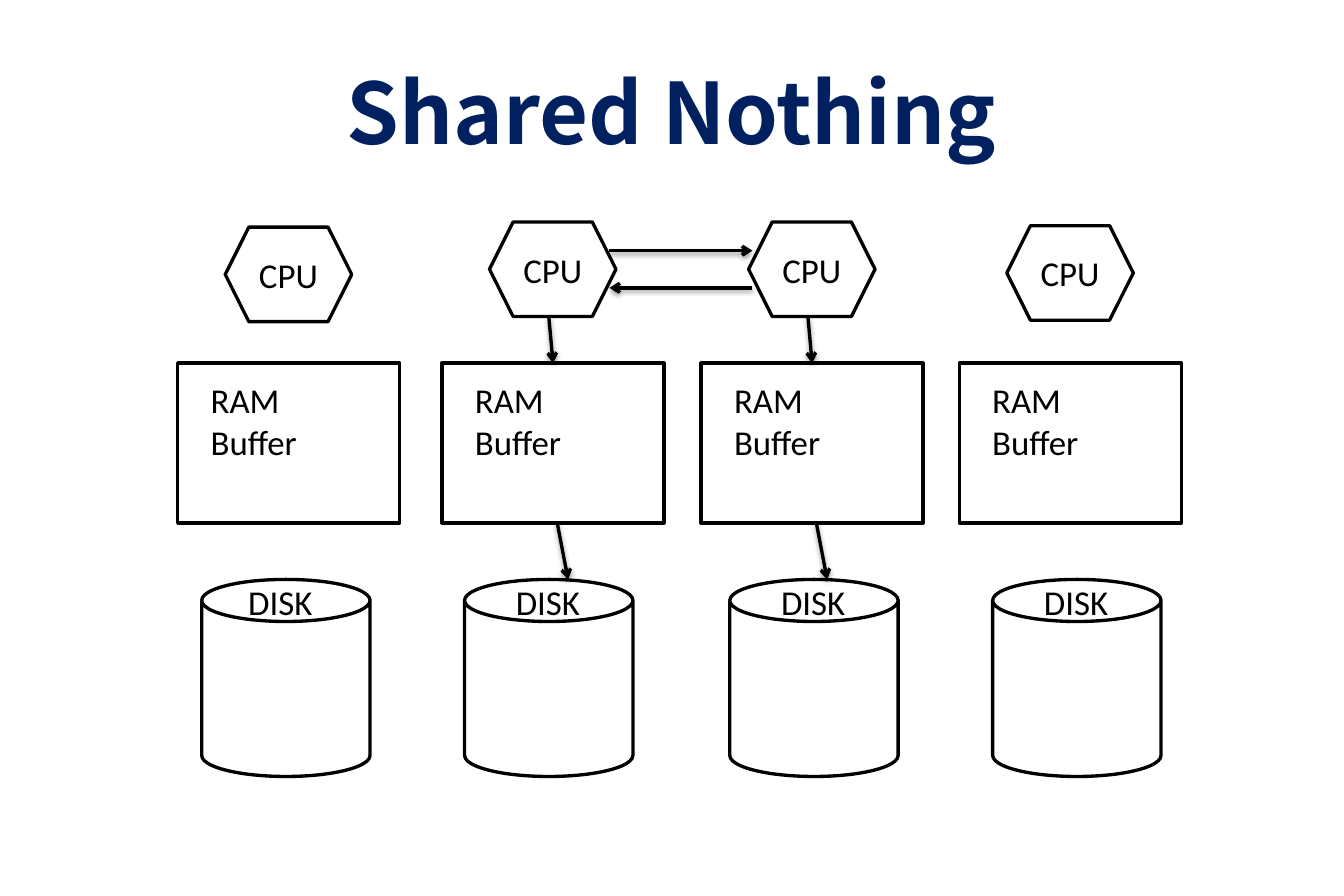
import pptx
import pptx.util
import pptx.dml.color
import pptx.enum.shapes
import pptx.enum.text
import pptx.oxml
import pptx.oxml.ns
from dataclasses import dataclass

Cm = pptx.util.Cm
Pt = pptx.util.Pt
Kind = pptx.enum.shapes.MSO_SHAPE
Align = pptx.enum.text.PP_ALIGN
Fit = pptx.enum.text.MSO_AUTO_SIZE
Mid = pptx.enum.text.MSO_ANCHOR.MIDDLE


@dataclass(frozen=True)
class Theme:
    """Colours, fonts and sizes of the slide."""
    ink: str = "000000"
    paper: str = "FFFFFF"
    navy: str = "002060"
    head: str = "Noto Sans CJK SC"
    body: str = "Calibri"
    big: int = 51
    text: int = 21
    line: int = 2


THEME = Theme()
SHADE = (
    '<a:effectLst {ns}><a:outerShdw blurRad="{blur}" dist="{dist}" dir="5400000" '
    'rotWithShape="0"><a:srgbClr val="{ink}"><a:alpha val="38000"/></a:srgbClr>'
    '</a:outerShdw></a:effectLst>'
)


def rgb(code):
    """Turn a hex code into a colour."""
    return pptx.dml.color.RGBColor.from_string(code)


def apply(item, form):
    """Set each attribute named in a dict."""
    for name, value in form.items():
        setattr(item, name, value)


def write(shape, words, form, font, align=Align.LEFT):
    """Put one paragraph into a shape."""
    apply(shape.text_frame, form)
    para = shape.text_frame.paragraphs[0]
    para.text = words
    para.alignment = align
    for run in para.runs:
        apply(run.font, {"name": THEME.body, "size": Pt(THEME.text)} | font)
        run.font.color.rgb = rgb(THEME.navy if "bold" in font else THEME.ink)


def label(slide, box, words, form, font=None, align=Align.LEFT):
    """Add a text box."""
    shape = slide.shapes.add_textbox(*map(Cm, box))
    write(shape, words, form, font or {}, align)


def block(slide, kind, box):
    """Add a white shape with a black outline."""
    shape = slide.shapes.add_shape(kind, *map(Cm, box))
    shape.shadow.inherit = False
    shape.fill.solid()
    shape.fill.fore_color.rgb = rgb(THEME.paper)
    shape.line.color.rgb = rgb(THEME.ink)
    shape.line.width = Pt(THEME.line)
    return shape


def arrow(slide, *ends):
    """Add a shaded line with an open arrowhead at its end."""
    link = slide.shapes.add_connector(
        pptx.enum.shapes.MSO_CONNECTOR.STRAIGHT, *map(Cm, ends))
    link.line.color.rgb = rgb(THEME.ink)
    link.line.width = Pt(THEME.line)
    tail = pptx.oxml.parse_xml(
        '<a:tailEnd %s type="arrow"/>' % pptx.oxml.ns.nsdecls("a"))
    link.line._get_or_add_ln().append(tail)
    shade = SHADE.format(ns=pptx.oxml.ns.nsdecls("a"), ink=THEME.ink,
                         blur=Pt(3.1), dist=Pt(1.6))
    link._element.spPr.append(pptx.oxml.parse_xml(shade))
    return link


def title(slide, box):
    """Place the heading."""
    form = {"word_wrap": True, "vertical_anchor": Mid,
            "margin_left": Cm(0.3), "margin_right": Cm(0.3),
            "margin_top": Cm(0.15), "margin_bottom": Cm(0.15)}
    font = {"name": THEME.head, "size": Pt(THEME.big), "bold": True}
    label(slide, box, "Shared Nothing", form, font, Align.CENTER)


def node(slide, box, rise, shift, inset):
    """Place one CPU, RAM and disk stack, and return its RAM block."""
    left, top, wide, high = box
    ram = block(slide, Kind.RECTANGLE, (left, top + 3, wide, 3.4))
    label(slide, (left + 0.45, top + 3.2, 2.72, 2.06), "RAM\nBuffer",
          {"word_wrap": True, "auto_size": Fit.SHAPE_TO_FIT_TEXT})
    block(slide, Kind.CAN, (left + shift, top + 7.6, 3.58, high - 7.6))
    label(slide, (left + shift + inset, top + 7.5, 1.88, 1.14), "DISK",
          {"word_wrap": False, "auto_size": Fit.SHAPE_TO_FIT_TEXT})
    cpu = block(slide, Kind.HEXAGON, (left + 1.01, top + rise, 2.69, 2.01))
    write(cpu, "CPU", {"vertical_anchor": Mid}, {}, Align.CENTER)
    return ram


def flow(slide, box, ram):
    """Draw the arrows from CPU to RAM and from RAM to disk."""
    left, top, wide, high = box
    link = arrow(slide, left + 2.27, top + 2.01, left + wide / 2, top + 3)
    link.end_connect(ram, 0)
    arrow(slide, left + 2.45, top + 6.4, left + 2.68, top + 7.6)


def swap(slide, box):
    """Draw the pair of arrows between two CPUs."""
    left, top, wide, high = box
    arrow(slide, left, top, left + wide, top)
    arrow(slide, left + wide, top + high, left, top + high)


def main():
    """Build and save the slide."""
    deck = pptx.Presentation()
    apply(deck, {"slide_width": Cm(28.58), "slide_height": Cm(19.05)})
    slide = deck.slides.add_slide(deck.slide_layouts[6])
    title(slide, (1.43, 0.76, 25.7, 3.18))
    stacks = [(3.78, 0.11, 0.51, 0.74, False), (9.4, 0, 0.48, 0.84, True),
              (14.91, 0, 0.61, 0.84, True), (20.4, 0.08, 0.71, 0.84, False)]
    for left, rise, shift, inset, live in stacks:
        box = (left, 4.72, 4.72, 11.79)
        ram = node(slide, box, rise, shift, inset)
        if live:
            flow(slide, box, ram)
    swap(slide, (12.96, 5.33, 3.04, 0.79))
    deck.save("out.pptx")


if __name__ == "__main__":
    main()
